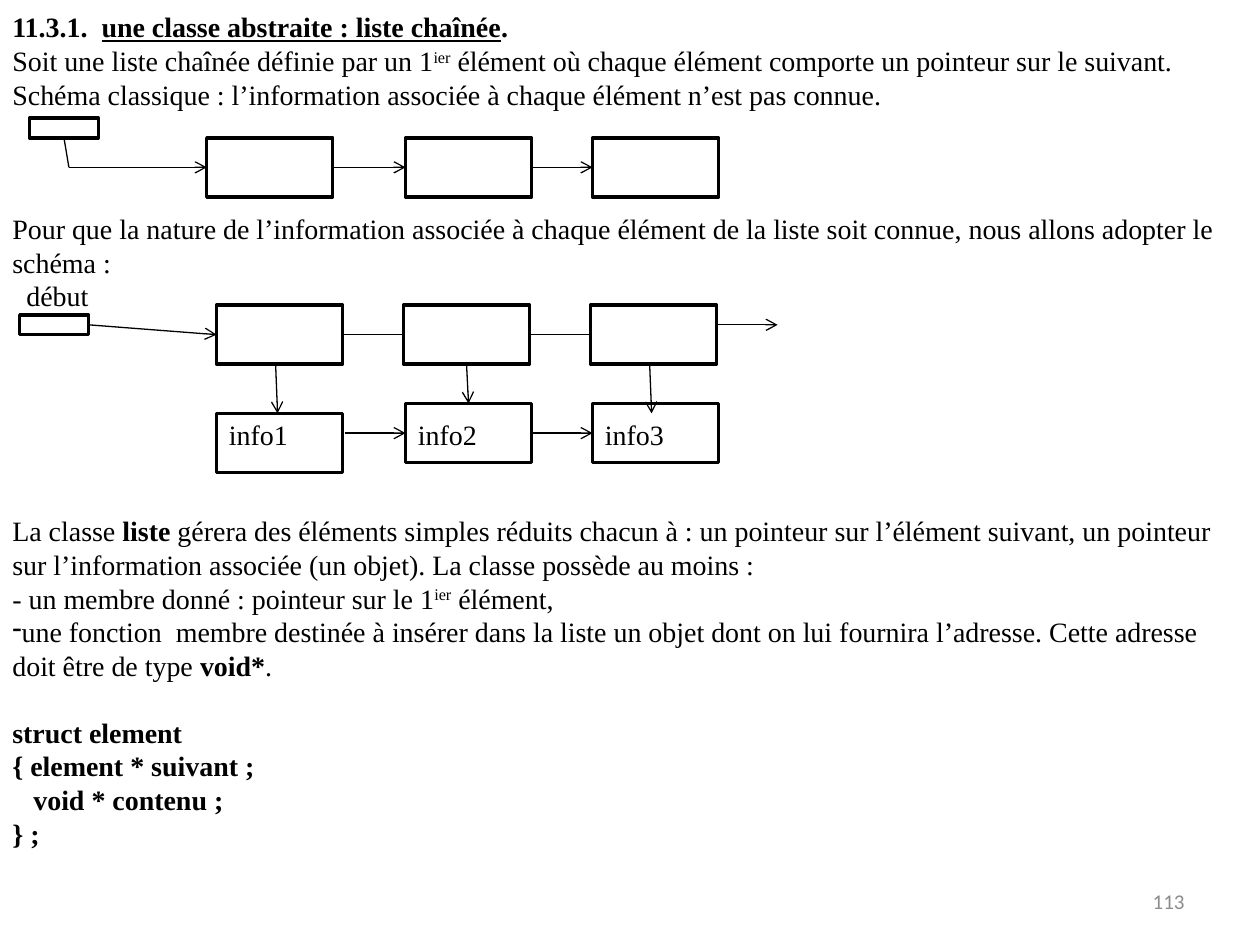
from lxml import etree
from pptx import Presentation
from pptx import util as u
from pptx.dml.color import RGBColor
from pptx.enum import shapes, text
from pptx.oxml import ns

prs = Presentation()
prs.slide_width, prs.slide_height = u.Inches(10), u.Inches(7.5)
s = prs.slides.add_slide(prs.slide_layouts[6])
UNIT = prs.slide_width / 128  # the slide is a grid of 128 columns by 96 rows
LINE = 19.2  # text line pitch in points


def grid(*cells):
    return [u.Emu(round(c * UNIT)) for c in cells]


def style(font, name="Times New Roman", size=16, color="000000"):
    font.name, font.size = name, u.Pt(size)
    font.color.rgb = RGBColor.from_string(color)


# Page number
sp = s.shapes.add_textbox(*grid(91.8, 89, 29.8, 5.1))
tf = sp.text_frame
tf.word_wrap = True
tf.vertical_anchor = text.MSO_ANCHOR.MIDDLE
tf.text = "113"
tf.paragraphs[0].alignment = text.PP_ALIGN.RIGHT
style(tf.paragraphs[0].runs[0].font, "Calibri", 12, "8C8C8C")

# Boxes: left, top, width, height, label
NODE = (12.8, 6)
HEAD = (7, 2)
boxes = [(3, 12, *HEAD, ""), (2, 32, *HEAD, "")]
boxes += [(x, 14, *NODE, "") for x in (21, 41.2, 60.2)]
boxes += [(x, 31, *NODE, "") for x in (22, 41, 60)]
boxes += [(22, 42, *NODE, "info1"), (41.2, 41, *NODE, "info2"),
          (60.2, 41, *NODE, "info3")]
for x, y, w, h, label in boxes:
    sp = s.shapes.add_shape(shapes.MSO_SHAPE.RECTANGLE, *grid(x, y, w, h))
    sp.shadow.inherit = False
    sp.fill.solid()
    sp.fill.fore_color.rgb = RGBColor.from_string("FFFFFF")
    sp.line.color.rgb = RGBColor.from_string("000000")
    sp.line.width = u.Pt(2)
    if label:
        tf = sp.text_frame
        tf.vertical_anchor = text.MSO_ANCHOR.TOP
        tf.margin_top, tf.margin_bottom = grid(42.4 - y, 0)
        tf.text = label
        p = tf.paragraphs[0]
        p.alignment = text.PP_ALIGN.LEFT
        style(p.runs[0].font)

# Links: start, end, arrowhead
links = [
    (6.5, 14, 7, 17, False), (7, 17, 21, 17, True),
    (33.8, 17, 41.2, 17, True), (54, 17, 60.2, 17, True),
    (9, 33, 22, 34, True), (34.8, 34, 41, 34, False),
    (53.8, 34, 60, 34, False), (72.8, 33, 79, 33, True),
    (28, 37, 28.2, 42, True), (47.4, 37, 47.6, 41, True),
    (66, 37, 66.2, 42, True),
    (35, 44, 41.2, 44, True), (54, 44, 60.2, 44, True),
]
for *ends, arrow in links:
    c = s.shapes.add_connector(shapes.MSO_CONNECTOR.STRAIGHT, *grid(*ends))
    c.line.color.rgb = RGBColor.from_string("000000")
    c.line.width = u.Pt(0.75)
    if arrow:
        etree.SubElement(c.line._get_or_add_ln(), ns.qn("a:tailEnd"), type="arrow")
    etree.SubElement(c._element.spPr, ns.qn("a:effectLst"))

# Body: blank lines before, left indent in points, runs as (text, marks)
# Marks: b bold, u underlined, ^ superscript
body = [
    (0, 0, [("11.3.1.  ", "b"), ("une classe abstraite : liste chaînée", "bu"), (".", "b")]),
    (0, 0, [("Soit une liste chaînée définie par un 1", ""), ("ier", "^"),
            (" élément où chaque élément comporte un pointeur sur le suivant.", "")]),
    (0, 0, [("Schéma classique : l’information associée à chaque élément "
             "n’est pas connue.", "")]),
    (3, 0, [("Pour que la nature de l’information associée à chaque élément de la "
             "liste soit connue, nous allons adopter le schéma :", "")]),
    (0, 8, [("début", "")]),
    (6, 0, [("La classe ", ""), ("liste", "b"),
            (" gérera des éléments simples réduits chacun à : un pointeur sur l’élément "
             "suivant, un pointeur sur l’information associée (un objet). "
             "La classe possède au moins :", "")]),
    (0, 0, [("- un membre donné : pointeur sur le 1", ""), ("ier", "^"), (" élément,", "")]),
    (0, 0, [("une fonction  membre destinée à insérer dans la liste un objet dont on lui "
             "fournira l’adresse. Cette adresse doit être de type ", ""),
            ("void*", "b"), (".", "")]),
    (1, 0, [("struct element", "b")]),
    (0, 0, [("{ element * suivant ;", "b")]),
    (0, 12, [("void * contenu ;", "b")]),
    (0, 0, [("} ;", "b")]),
]
sp = s.shapes.add_textbox(*grid(0, 0, 128, 90.9))
tf = sp.text_frame
tf.word_wrap = True
tf.margin_top = u.Inches(0.08)
for i, (gap, indent, runs) in enumerate(body):
    p = tf.add_paragraph() if i else tf.paragraphs[0]
    p.line_spacing = u.Pt(LINE)
    p.space_before = u.Pt(gap * LINE)
    pPr = p._p.get_or_add_pPr()
    pPr.set("marL", str(u.Pt(indent)))
    pPr.set("indent", "0")
    if runs[0][0].startswith("une fonction"):
        etree.SubElement(pPr, ns.qn("a:buFontTx"))
        etree.SubElement(pPr, ns.qn("a:buChar"), char="-")
    for words, marks in runs:
        r = p.add_run()
        r.text = words
        style(r.font)
        r.font.bold = "b" in marks
        r.font.underline = "u" in marks
        if "^" in marks:
            r._r.get_or_add_rPr().set("baseline", "30000")

prs.save("out.pptx")
